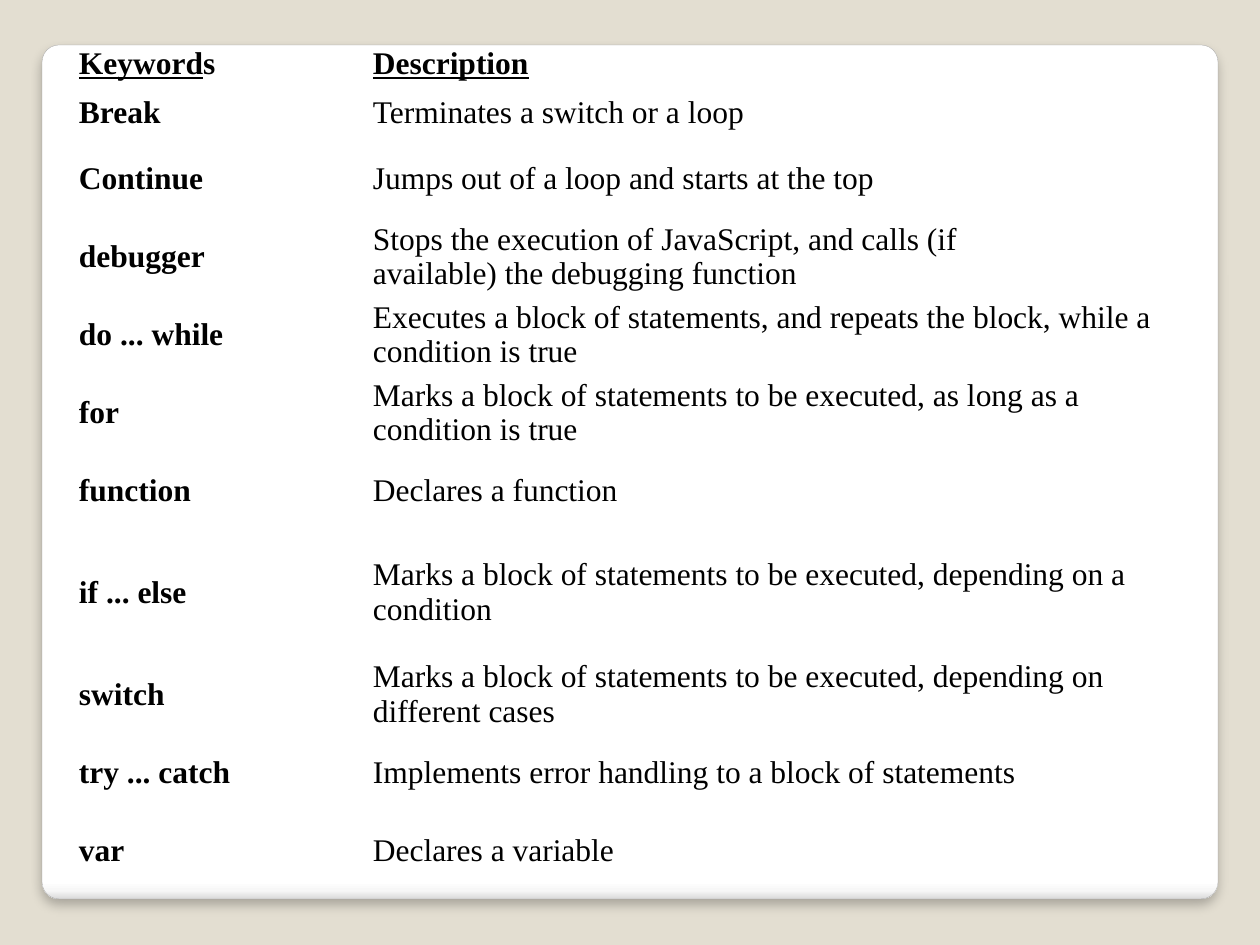
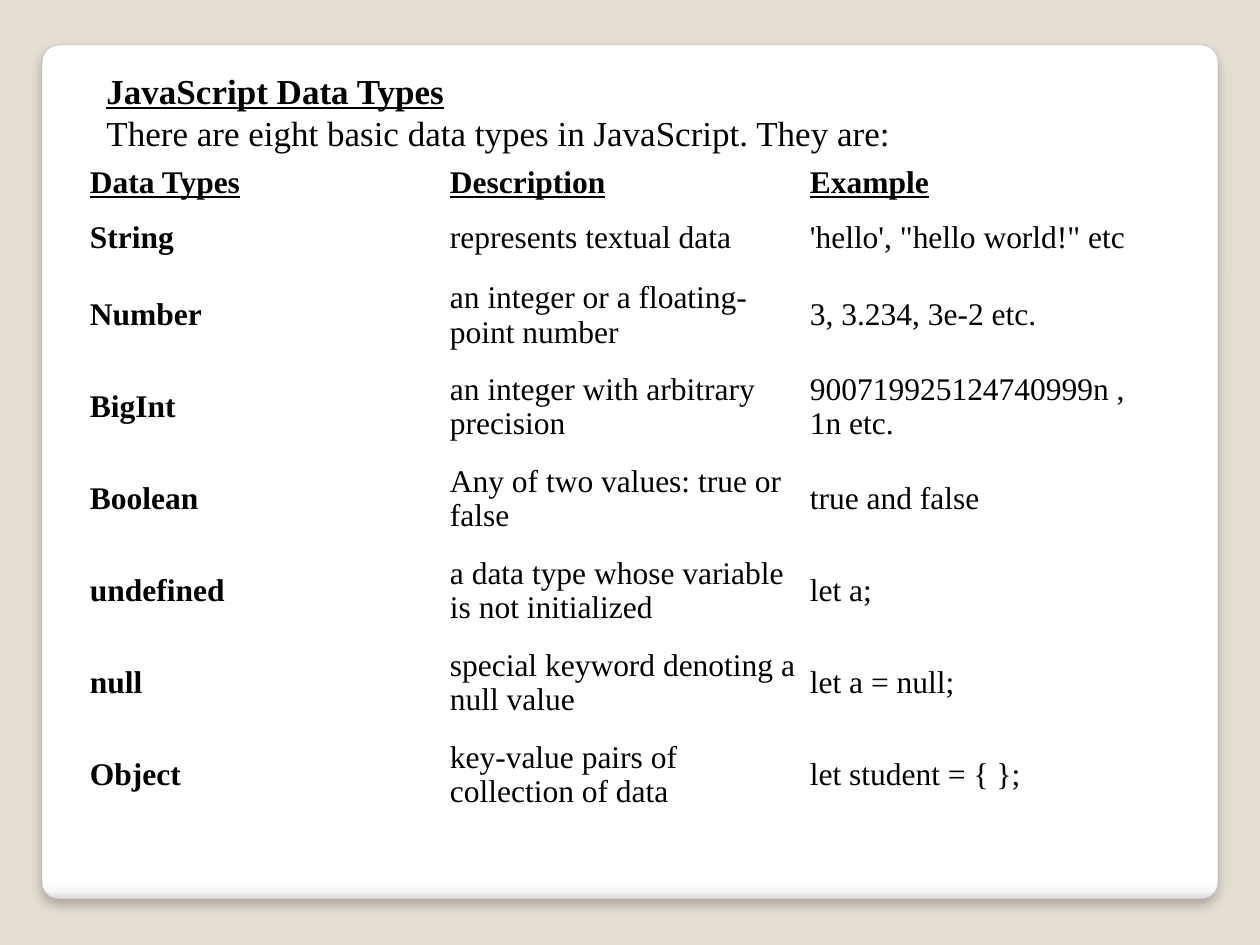
from dataclasses import dataclass

from lxml.etree import SubElement
from pptx import Presentation
from pptx.dml.color import RGBColor as Color
from pptx.enum.shapes import MSO_SHAPE as Shape
from pptx.enum.text import MSO_ANCHOR as Anchor, MSO_AUTO_SIZE as AutoSize
from pptx.oxml.ns import qn
from pptx.util import Emu, Pt


@dataclass(frozen=True)
class Theme:
    font: str = "Times New Roman"
    ink: str = "000000"
    backdrop: str = "E3DED1"
    edge: str = "A4A4A4"
    card_stops: tuple = ((0, "FFFFFF"), (98, "FFFFFF"), (99, "F7F7F7"), (100, "DADADA"))
    intro_size: int = 20
    table_size: int = 18
    plain_table: str = "{2D5ABB26-0587-4C30-8999-92F81FD0307C}"


THEME = Theme()
PIXELS_PER_INCH = 126

KEYWORDS = [
    (("Keyword", "s"), "Description"),
    ("Break", "Terminates a switch or a loop"),
    ("Continue", "Jumps out of a loop and starts at the top"),
    ("debugger", "Stops the execution of JavaScript, and calls (if\vavailable) the debugging function"),
    ("do ... while", "Executes a block of statements, and repeats the block, while a condition is true"),
    ("for", "Marks a block of statements to be executed, as long as a condition is true"),
    ("function", "Declares a function"),
    ("if ... else", "Marks a block of statements to be executed, depending on a condition"),
    ("switch", "Marks a block of statements to be executed, depending on different cases"),
    ("try ... catch", "Implements error handling to a block of statements"),
    ("var", "Declares a variable"),
]

DATA_TYPES = [
    ("Data Types", "Description", "Example"),
    ("String", "represents textual data", "'hello', \"hello world!\" etc"),
    ("Number", "an integer or a floating-point number", "3, 3.234, 3e-2 etc."),
    ("BigInt", "an integer with arbitrary precision", "900719925124740999n , 1n etc."),
    ("Boolean", "Any of two values: true or false", "true and false"),
    ("undefined", "a data type whose variable is not initialized", "let a;"),
    ("null", "special keyword denoting a null value", "let a = null;"),
    ("Object", "key-value pairs of collection of data", "let student = { };"),
]


def px(length):
    return Emu(round(length * 914400 / PIXELS_PER_INCH))


def add_color(parent, value, alpha=None):
    color = SubElement(parent, qn("a:srgbClr"), val=value)
    if alpha is not None:
        SubElement(color, qn("a:alpha"), val=str(alpha * 1000))


def add_card(page):
    card = page.shapes.add_shape(Shape.ROUNDED_RECTANGLE, px(42), px(45), px(1176), px(854))
    card.adjustments[0] = 0.02
    card.line.color.rgb = Color.from_string(THEME.edge)
    card.line.width = Pt(0.16)
    card.fill.gradient()
    card.fill.gradient_angle = 270
    stops = card.element.xpath(".//a:gsLst")[0]
    stops.clear()
    for position, value in THEME.card_stops:
        add_color(SubElement(stops, qn("a:gs"), pos=str(position * 1000)), value)
    card.shadow.inherit = False
    effects = card.element.xpath(".//a:effectLst")[0]
    shadow = SubElement(effects, qn("a:outerShdw"), blurRad=str(Pt(6)), dist=str(Pt(4)),
                        dir="5400000", algn="t", rotWithShape="0")
    add_color(shadow, THEME.ink, alpha=25)


def add_page(deck):
    page = deck.slides.add_slide(deck.slide_layouts[6])
    page.background.fill.solid()
    page.background.fill.fore_color.rgb = Color.from_string(THEME.backdrop)
    add_card(page)
    return page


def write(para, text, size, bold=False, underline=False):
    lead, tail = text if isinstance(text, tuple) else (text, "")
    para.text = lead
    font = para.font
    font.name, font.size = THEME.font, Pt(size)
    font.bold, font.underline = bold, underline
    font.color.rgb = Color.from_string(THEME.ink)
    if tail:
        span = para.add_run()
        span.text = tail
        span.font.underline = False


def add_intro(page, heading, sentence):
    box = page.shapes.add_textbox(px(94), px(63), px(1092), px(97))
    frame = box.text_frame
    frame.word_wrap = True
    frame.auto_size = AutoSize.SHAPE_TO_FIT_TEXT
    write(frame.paragraphs[0], heading, THEME.intro_size, bold=True, underline=True)
    write(frame.add_paragraph(), sentence, THEME.intro_size)


def add_grid(page, left, top, widths, heights, rows):
    holder = page.shapes.add_table(len(rows), len(widths), px(left), px(top),
                                   px(sum(widths)), px(sum(heights)))
    holder.element.xpath(".//a:tableStyleId")[0].text = THEME.plain_table
    table = holder.table
    table.first_row = table.horz_banding = False
    for column, width in zip(table.columns, widths):
        column.width = px(width)
    for row_index, (row, height, texts) in enumerate(zip(table.rows, heights, rows)):
        row.height = px(height)
        is_header = row_index == 0
        for column_index, (cell, text) in enumerate(zip(row.cells, texts)):
            cell.fill.background()
            cell.vertical_anchor = Anchor.MIDDLE
            cell.margin_left = cell.margin_right = px(6)
            cell.margin_top = cell.margin_bottom = px(4)
            write(cell.text_frame.paragraphs[0], text, THEME.table_size,
                  bold=is_header or column_index == 0, underline=is_header)


def main():
    deck = Presentation()
    deck.slide_width, deck.slide_height = px(1260), px(945)

    page = add_page(deck)
    add_grid(page, 73, 42, [294, 809], [42, 55] + [78] * 5 + [126] + [78] * 3, KEYWORDS)

    page = add_page(deck)
    add_intro(page, "JavaScript Data Types",
              "There are eight basic data types in JavaScript. They are:")
    add_grid(page, 84, 158, [360] * 3, [49, 62] + [92] * 6, DATA_TYPES)

    deck.save("out.pptx")


if __name__ == "__main__":
    main()
